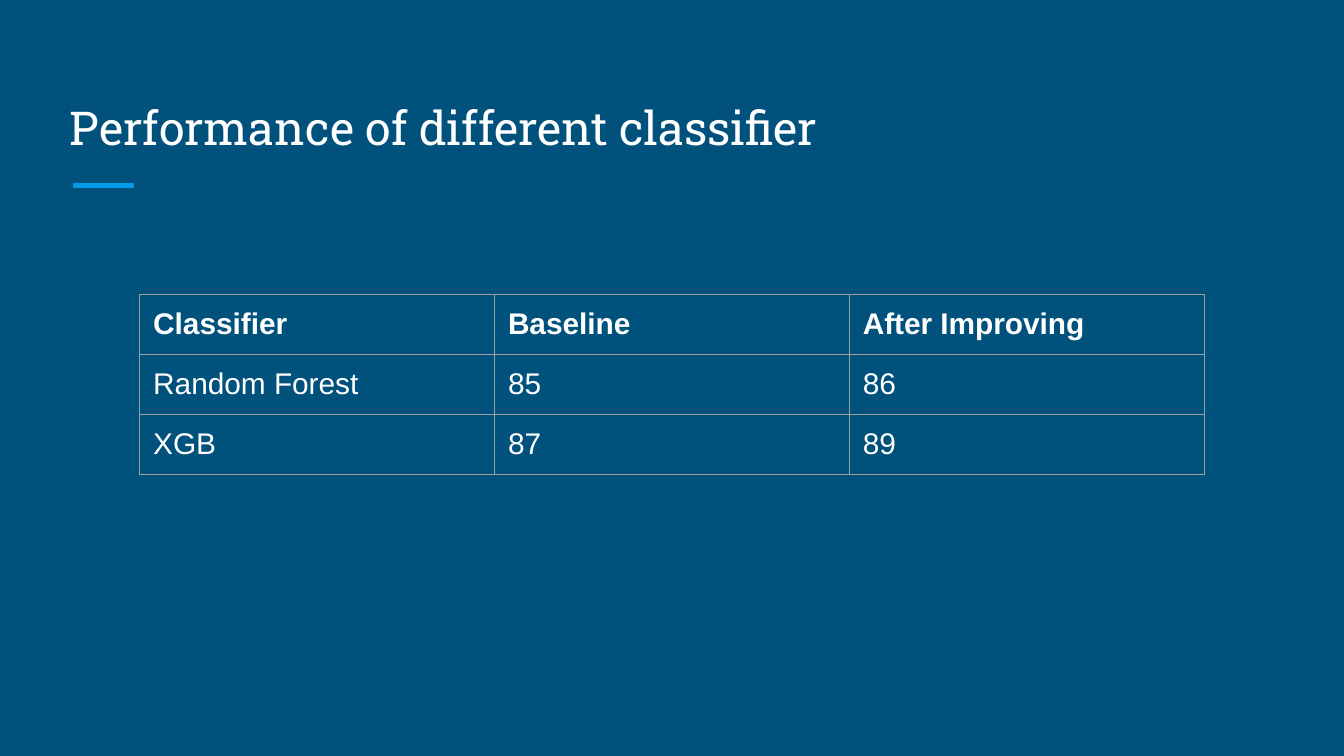
"""Build a slide that compares classifier performance in a table."""
from dataclasses import dataclass

from lxml.etree import SubElement
from pptx import Presentation
from pptx.dml.color import RGBColor as Color
from pptx.enum.shapes import MSO_CONNECTOR as Connector
from pptx.enum.text import MSO_ANCHOR as Anchor, MSO_AUTO_SIZE as AutoSize, PP_ALIGN as Align
from pptx.oxml import parse_xml
from pptx.oxml.ns import nsdecls, qn
from pptx.util import Inches, Pt

TITLE = "Performance of different classifier"
ROWS = [
    ("Classifier", "Baseline", "After Improving"),
    ("Random Forest", "85", "86"),
    ("XGB", "87", "89"),
]


@dataclass(frozen=True)
class Theme:
    background: str = "00517C"
    accent: str = "039BE5"
    text: str = "FFFFFF"
    border: str = "9E9E9E"
    title_font: str = "Roboto Slab"
    body_font: str = "Arial"
    title_size: float = 25
    body_size: float = 16
    accent_width: float = 3
    border_width: float = 0.75


THEME = Theme()
WIDTH = 10
HEIGHT = WIDTH * 9 / 16
INSET = 0.1
TITLE_BOX = (0.42, 0.5, 9.15, 0.75)
ACCENT_LEFT, ACCENT_RIGHT, ACCENT_TOP = 0.54, 1, 1.38
TABLE_LEFT, TABLE_TOP = 1.04, 2.19
COLUMN_WIDTH, ROW_HEIGHT = 2.64, 0.42


def set_insets(target):
    for side in ("left", "right", "top", "bottom"):
        setattr(target, f"margin_{side}", Inches(INSET))


def add_text(paragraph, text, font, size, bold=False):
    paragraph.alignment = Align.LEFT
    run = paragraph.add_run()
    run.text = text
    run.font.name = font
    run.font.size = Pt(size)
    run.font.bold = bold
    run.font.color.rgb = Color.from_string(THEME.text)


def add_borders(cell):
    properties = cell._tc.get_or_add_tcPr()
    for index, side in enumerate(("lnL", "lnR", "lnT", "lnB")):
        border = parse_xml(
            f'<a:{side} {nsdecls("a")} w="{Pt(THEME.border_width)}"><a:solidFill>'
            f'<a:srgbClr val="{THEME.border}"/></a:solidFill></a:{side}>'
        )
        properties.insert(index, border)


def add_title(slide):
    title = slide.shapes.title
    title.left, title.top, title.width, title.height = map(Inches, TITLE_BOX)
    frame = title.text_frame
    set_insets(frame)
    frame.word_wrap = True
    frame.auto_size = AutoSize.NONE
    frame.vertical_anchor = Anchor.BOTTOM
    add_text(frame.paragraphs[0], TITLE, THEME.title_font, THEME.title_size)


def add_accent(slide):
    ends = map(Inches, (ACCENT_LEFT, ACCENT_TOP, ACCENT_RIGHT, ACCENT_TOP))
    accent = slide.shapes.add_connector(Connector.STRAIGHT, *ends)
    accent.line.color.rgb = Color.from_string(THEME.accent)
    accent.line.width = Pt(THEME.accent_width)
    SubElement(accent._element.spPr, qn("a:effectLst"))


def add_results(slide):
    row_count, column_count = len(ROWS), len(ROWS[0])
    box = (TABLE_LEFT, TABLE_TOP, column_count * COLUMN_WIDTH, row_count * ROW_HEIGHT)
    table = slide.shapes.add_table(row_count, column_count, *map(Inches, box)).table
    table.first_row = table.horz_banding = False
    for row_index, values in enumerate(ROWS):
        for column_index, value in enumerate(values):
            cell = table.cell(row_index, column_index)
            set_insets(cell)
            cell.fill.background()
            add_borders(cell)
            add_text(cell.text_frame.paragraphs[0], value, THEME.body_font,
                     THEME.body_size, bold=row_index == 0)


def main():
    presentation = Presentation()
    presentation.slide_width, presentation.slide_height = Inches(WIDTH), Inches(HEIGHT)
    slide = presentation.slides.add_slide(presentation.slide_layouts[5])
    slide.background.fill.solid()
    slide.background.fill.fore_color.rgb = Color.from_string(THEME.background)
    add_accent(slide)
    add_title(slide)
    add_results(slide)
    presentation.save("out.pptx")


if __name__ == "__main__":
    main()
